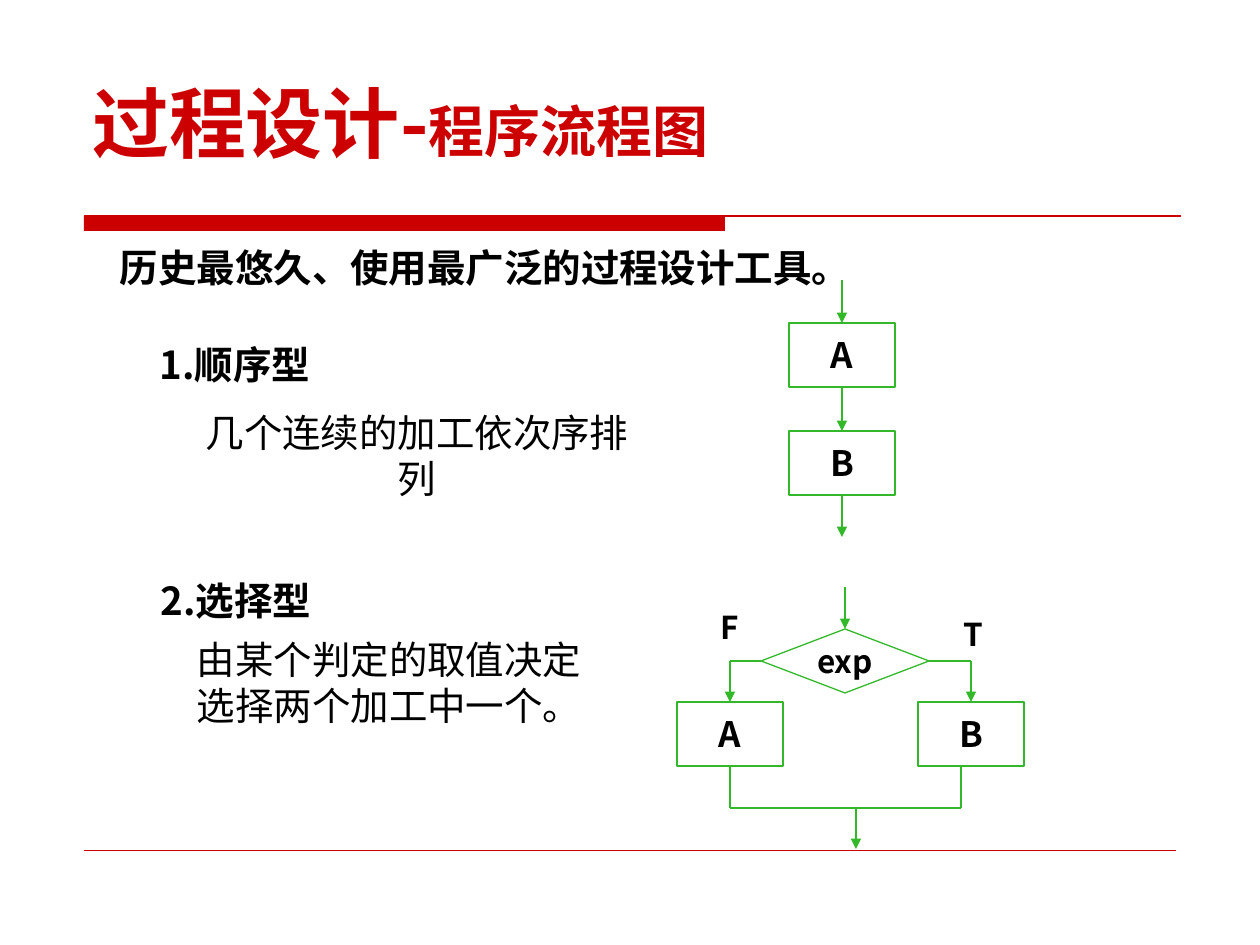
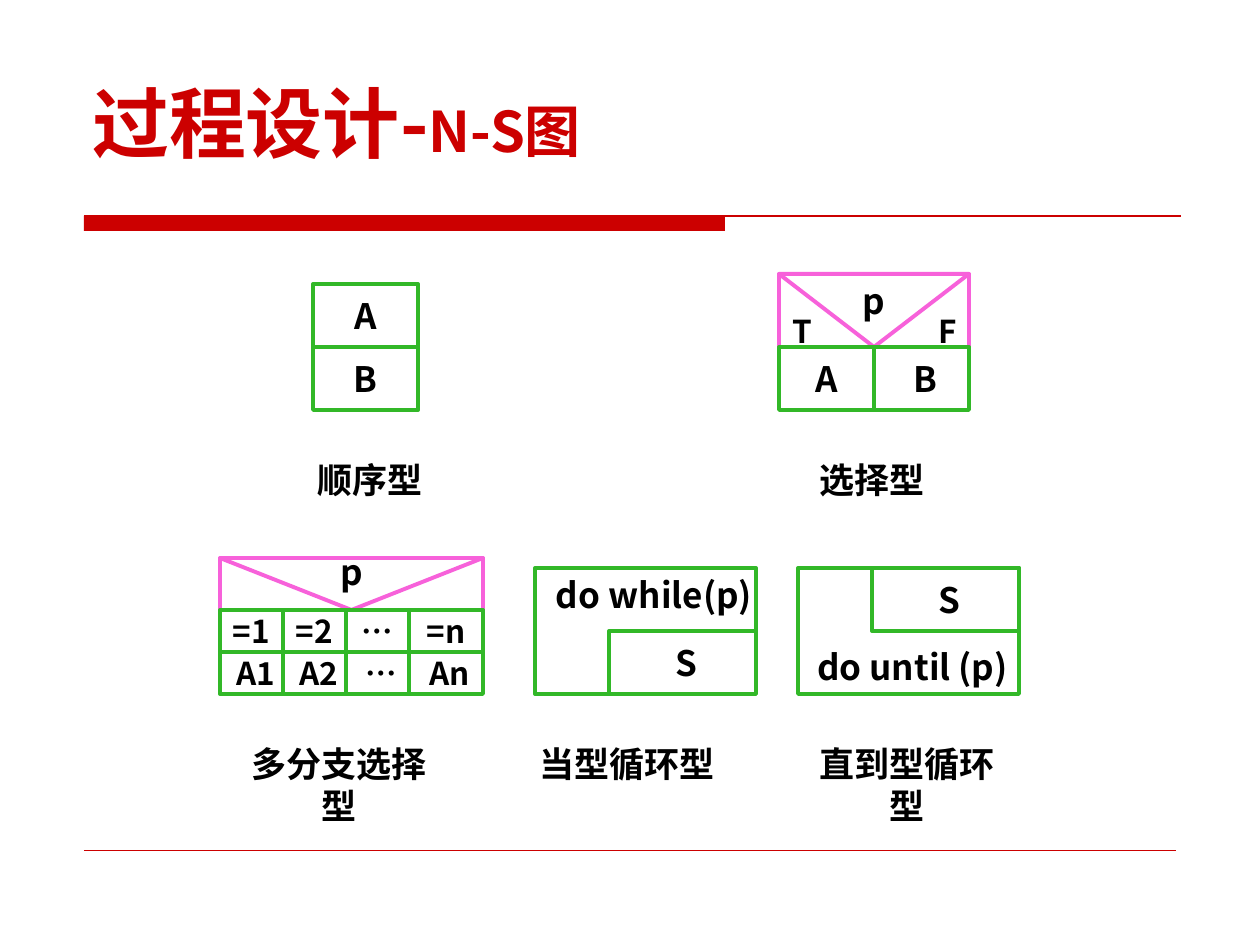
import pptx
import pptx.dml.color
import pptx.enum.shapes
import pptx.enum.text
import pptx.oxml.ns
import pptx.util
from lxml import etree

PX = 914400 / 126
COLORS = {"title": "CC0000", "flow": "32B828", "condition": "F761DA",
          "text": "000000", "paper": "FFFFFF"}
FONT = "Noto Sans CJK SC"
THIN, MEDIUM, THICK = 0.75, 1.5, 2.25
INSET, INSET_Y = 13, 6
BOX_W, BOX_H = 106, 64
TOP, LEFT, BOTTOM, RIGHT = range(4)

SHAPE = pptx.enum.shapes.MSO_SHAPE
ALIGN = pptx.enum.text.PP_ALIGN
ANCHOR = pptx.enum.text.MSO_ANCHOR
FIT = pptx.enum.text.MSO_AUTO_SIZE


def px(length):
    return pptx.util.Emu(round(length * PX))


def rgb(name):
    return pptx.dml.color.RGBColor.from_string(COLORS[name])


def add_xml(parent, tag, **attributes):
    return etree.SubElement(parent, pptx.oxml.ns.qn(tag), **attributes)


# Text
def write(shape, text, size=20, bold=True, color="text", font=FONT,
          align=ALIGN.CENTER, anchor=ANCHOR.MIDDLE, wrap=False, fit=FIT.NONE, shift=0):
    """Fill a shape with one paragraph; text is a string or (string, size) pairs."""
    frame = shape.text_frame
    frame.word_wrap, frame.auto_size, frame.vertical_anchor = wrap, fit, anchor
    frame.margin_left, frame.margin_right = px(INSET + shift), px(INSET - shift)
    frame.margin_top = frame.margin_bottom = px(INSET_Y)
    paragraph = frame.paragraphs[0]
    paragraph.alignment = align
    for part, part_size in [(text, size)] if isinstance(text, str) else text:
        run = paragraph.add_run()
        run.text = part
        run.font.size, run.font.bold, run.font.name = pptx.util.Pt(part_size), bold, font
        run.font.color.rgb = rgb(color)
        add_xml(run.font._element, "a:ea", typeface=font)


def label(slide, x, y, w, h, text, **style):
    box = slide.shapes.add_textbox(px(x), px(y), px(w), px(h))
    write(box, text, anchor=ANCHOR.TOP, fit=FIT.SHAPE_TO_FIT_TEXT, **style)


def caption(slide, center, y, text):
    width = 220
    label(slide, center - width / 2, y, width, 55, text)


# Shapes and lines
def block(slide, x, y, w, h, text="", kind=SHAPE.RECTANGLE, line="flow",
          weight=THICK, fill="paper", **style):
    shape = slide.shapes.add_shape(kind, px(x), px(y), px(w), px(h))
    shape.shadow.inherit = False
    shape.fill.solid()
    shape.fill.fore_color.rgb = rgb(fill)
    shape.line.color.rgb = rgb(line)
    shape.line.width = pptx.util.Pt(weight)
    if text:
        write(shape, text, **style)
    return shape


def connect(slide, start, end, weight=THIN, color="flow", arrow=False):
    """Join two ends, each a point (x, y) or a joint (shape, side)."""
    joints = [isinstance(point[0], (int, float)) is False for point in (start, end)]
    points = [(0, 0) if joined else point for joined, point in zip(joints, (start, end))]
    line = slide.shapes.add_connector(pptx.enum.shapes.MSO_CONNECTOR.STRAIGHT,
                                      *(px(value) for point in points for value in point))
    if joints[0]:
        line.begin_connect(*start)
    if joints[1]:
        line.end_connect(*end)
    line.line.color.rgb = rgb(color)
    line.line.width = pptx.util.Pt(weight)
    if arrow:
        add_xml(line.line._get_or_add_ln(), "a:tailEnd", type="triangle")
    add_xml(line._element.spPr, "a:effectLst")


def arrow(slide, start, end):
    connect(slide, start, end, weight=MEDIUM, arrow=True)


# Shared frame: title, band under it, footer rule
def new_slide(deck, topic):
    slide = deck.slides.add_slide(deck.slide_layouts[5])
    title = slide.shapes.title
    title.left, title.top, title.width, title.height = px(79), px(42), px(1102), px(132)
    write(title, [("过程设计-", 44), (topic, 32)], color="title",
          align=ALIGN.LEFT, anchor=ANCHOR.BOTTOM, wrap=True)
    band = block(slide, 84, 216, 641, 15, fill="title", line="title")
    band.line.fill.background()
    connect(slide, (84, 216), (1181, 216), color="title")
    connect(slide, (84, 850), (1176, 850), weight=0.25, color="title")
    return slide


# Flowcharts
def step(slide, x, y, text):
    return block(slide, x, y, BOX_W, BOX_H, text, weight=THIN)


def sequence_flow(slide):
    x, center = 789, 789 + BOX_W / 2
    first, second = step(slide, x, 323, "A"), step(slide, x, 431, "B")
    arrow(slide, (center, 280), (first, TOP))
    arrow(slide, (first, BOTTOM), (second, TOP))
    arrow(slide, (second, BOTTOM), (center, 537))


def selection_flow(slide):
    decision = block(slide, 761, 629, 168, BOX_H, "exp", size=18, weight=THIN,
                     kind=SHAPE.FLOWCHART_DECISION)
    arrow(slide, (845, 587), (decision, TOP))
    branch_y, merge_y = 629 + BOX_H / 2, 808
    branches = [("A", 677, LEFT, 730), ("B", 918, RIGHT, 961)]
    for name, x, side, exit_x in branches:
        center = x + BOX_W / 2
        branch = step(slide, x, 702, name)
        connect(slide, (decision, side), (center, branch_y))
        arrow(slide, (center, branch_y), (branch, TOP))
        start = (branch, BOTTOM) if exit_x == center else (exit_x, 702 + BOX_H)
        connect(slide, start, (exit_x, merge_y))
    connect(slide, (730, merge_y), (961, merge_y))
    arrow(slide, (856, merge_y), (856, 849))
    label(slide, 708, 602, 44, 50, "F", size=18)
    label(slide, 951, 609, 44, 50, "T", size=18)


def flowchart_slide(deck):
    slide = new_slide(deck, "程序流程图")
    label(slide, 107, 238, 755, 59, "历史最悠久、使用最广泛的过程设计工具。",
          size=22, font="DejaVu Sans", align=ALIGN.LEFT)
    label(slide, 141, 335, 188, 59, "1.顺序型", size=22)
    label(slide, 174, 403, 486, 59, "几个连续的加工依次序排列", size=22, bold=False)
    label(slide, 142, 571, 188, 59, "2.选择型", size=22)
    label(slide, 184, 630, 431, 106, "由某个判定的取值决定选择两个加工中一个。",
          size=22, bold=False, align=ALIGN.LEFT, wrap=True)
    sequence_flow(slide)
    selection_flow(slide)


# N-S diagrams
def condition(slide, x, y, w, h, anchor):
    block(slide, x, y, w, h, line="condition")
    block(slide, x, y, w, h, "p", kind=SHAPE.FLOWCHART_MERGE, line="condition", anchor=anchor)


def sequence_ns(slide):
    for row, name in enumerate("AB"):
        block(slide, 313, 284 + 63 * row, 105, 63, name)


def selection_ns(slide):
    x, half = 779, 95
    condition(slide, x, 274, 2 * half, 73, ANCHOR.TOP)
    label(slide, x, 306, 44, 50, "T", size=18)
    label(slide, x + 147, 306, 44, 50, "F", size=18)
    block(slide, x, 347, half, 63, "A")
    block(slide, x + half, 347, half, 63, "B", shift=4)


def multiway_ns(slide):
    x, height = 220, 42
    condition(slide, x, 558, 263, 52, ANCHOR.MIDDLE)
    cases = [("=1", "A1", 63), ("=2", "A2", 63), ("…", "…", 63), ("=n", "An", 74)]
    for value, action, width in cases:
        block(slide, x, 610, width, height, value, size=18)
        block(slide, x, 610 + height, width, height, action, size=18, shift=4)
        x += width


def loop_ns(slide, x, text, body_y, **style):
    block(slide, x, 568, 221, 126, text, **style)
    block(slide, x + 74, body_y, 147, 63, "S", shift=4)


def ns_slide(deck):
    slide = new_slide(deck, "N-S图")
    sequence_ns(slide)
    selection_ns(slide)
    multiway_ns(slide)
    loop_ns(slide, 535, "do while(p)", 631, align=ALIGN.LEFT, anchor=ANCHOR.TOP, shift=8)
    loop_ns(slide, 798, "do until (p)", 568, anchor=ANCHOR.BOTTOM, shift=4)
    for center, y, name in [(370, 452, "顺序型"), (872, 452, "选择型"),
                            (339, 736, "多分支选择型"), (627, 736, "当型循环型"),
                            (907, 736, "直到型循环型")]:
        caption(slide, center, y, name)


def main():
    deck = pptx.Presentation()
    deck.slide_width, deck.slide_height = px(1260), px(945)
    flowchart_slide(deck)
    ns_slide(deck)
    deck.save("out.pptx")


if __name__ == "__main__":
    main()
